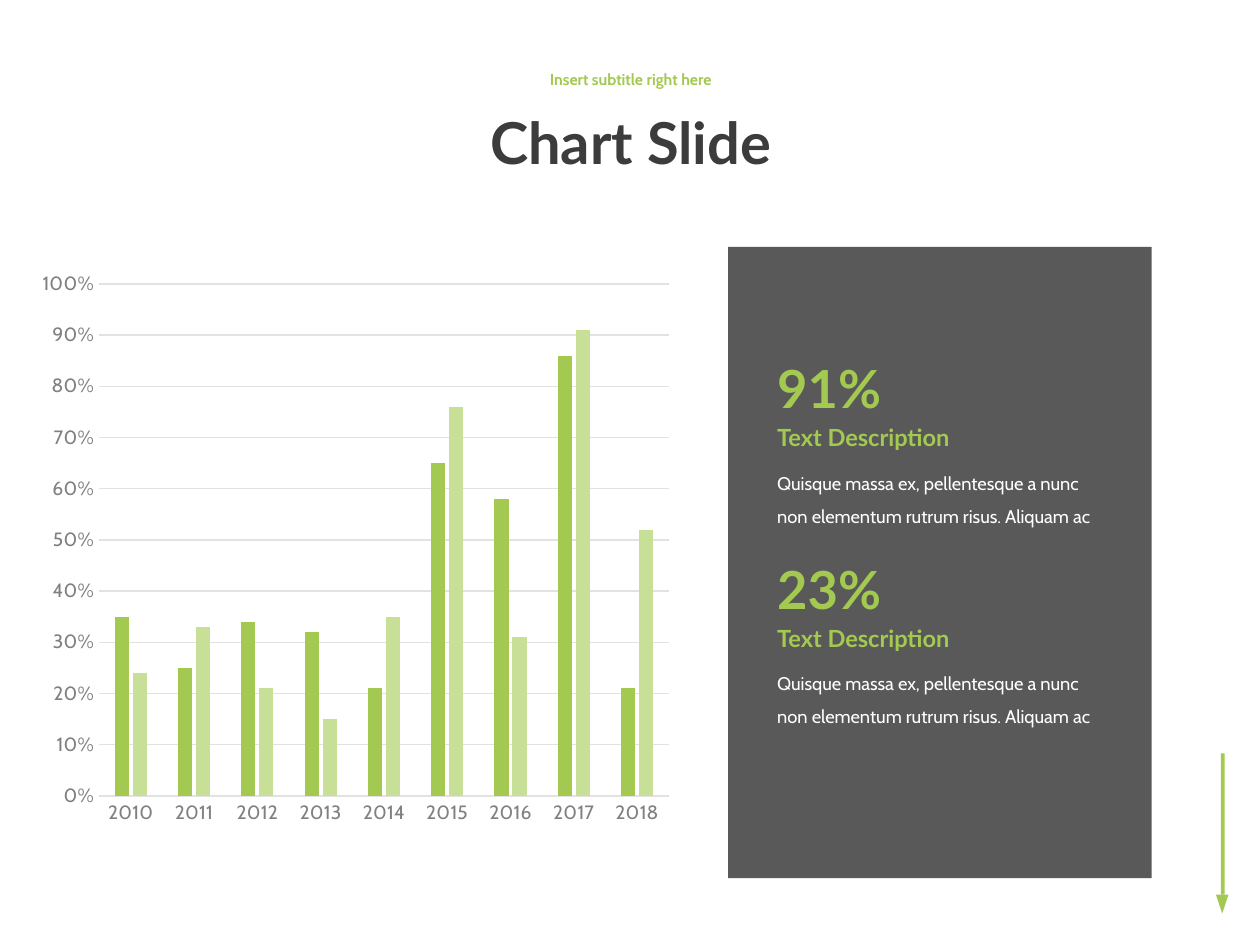
from dataclasses import dataclass

from lxml import etree
from pptx import Presentation
from pptx.chart.data import CategoryChartData
from pptx.dml.color import RGBColor
from pptx.enum.chart import XL_CHART_TYPE, XL_TICK_MARK
from pptx.enum.shapes import MSO_SHAPE
from pptx.enum.text import MSO_ANCHOR, MSO_AUTO_SIZE, PP_ALIGN
from pptx.oxml import parse_xml
from pptx.oxml.ns import nsdecls, qn
from pptx.util import Inches, Pt

CLUSTERED = XL_CHART_TYPE.COLUMN_CLUSTERED
NO_TICK = XL_TICK_MARK.NONE
RECTANGLE = MSO_SHAPE.RECTANGLE
TRIANGLE = MSO_SHAPE.ISOSCELES_TRIANGLE
TOP, MIDDLE = MSO_ANCHOR.TOP, MSO_ANCHOR.MIDDLE
LEFT, CENTER = PP_ALIGN.LEFT, PP_ALIGN.CENTER
NO_AUTOFIT = MSO_AUTO_SIZE.NONE


@dataclass(frozen=True)
class Theme:
    green: RGBColor = RGBColor(0xA3, 0xC9, 0x51)
    light_green: RGBColor = RGBColor(0xC8, 0xDF, 0x97)
    dark: RGBColor = RGBColor(0x3C, 0x3C, 0x3C)
    gray: RGBColor = RGBColor(0x80, 0x80, 0x80)
    grid: RGBColor = RGBColor(0xE2, 0xE2, 0xE2)
    white: RGBColor = RGBColor(0xFF, 0xFF, 0xFF)
    heading_font: str = "Lato"
    body_font: str = "Cabin"
    title_size: float = 33
    subtitle_size: float = 9
    number_size: float = 30
    label_size: float = 13.5
    body_size: float = 10.5
    chart_size: float = 11


THEME = Theme()
YEARS = [str(year) for year in range(2010, 2019)]
SERIES = [
    ("Series 1", THEME.green, [0.35, 0.25, 0.34, 0.32, 0.21, 0.65, 0.58, 0.86, 0.21]),
    ("Series 2", THEME.light_green, [0.24, 0.33, 0.21, 0.15, 0.35, 0.76, 0.31, 0.91, 0.52]),
]
DESCRIPTION = "Quisque massa ex, pellentesque a nunc non elementum rutrum risus. Aliquam ac"


def place(shape, left, top, width, height):
    shape.left, shape.top = Inches(left), Inches(top)
    shape.width, shape.height = Inches(width), Inches(height)


def style_font(font, name, size, color, bold=False):
    font.name, font.size, font.bold = name, Pt(size), bold
    font.color.rgb = color


def write_text(shape, text, name, size, color, bold=True, align=LEFT, anchor=TOP, spacing=1.0):
    frame = shape.text_frame
    frame.word_wrap = True
    frame.auto_size = NO_AUTOFIT
    frame.vertical_anchor = anchor
    frame.text = text
    paragraph = frame.paragraphs[0]
    paragraph.alignment = align
    paragraph.line_spacing = spacing
    style_font(paragraph.font, name, size, color, bold)


def add_text(slide, box, text, name, size, color, **options):
    shape = slide.shapes.add_textbox(*map(Inches, box))
    write_text(shape, text, name, size, color, **options)


def add_block(slide, kind, box, color, alpha=None):
    shape = slide.shapes.add_shape(kind, *map(Inches, box))
    shape.shadow.inherit = False
    shape.fill.solid()
    shape.fill.fore_color.rgb = color
    shape.line.fill.background()
    if alpha is not None:
        color_element = shape.fill._xPr.find(".//" + qn("a:srgbClr"))
        etree.SubElement(color_element, qn("a:alpha"), val=str(alpha * 1000))
    return shape


def add_down_arrow(slide):
    add_block(slide, RECTANGLE, (9.69, 5.98, 0.03, 1.12), THEME.green)
    head = add_block(slide, TRIANGLE, (9.65, 7.1, 0.1, 0.15), THEME.green)
    head.rotation = 180


def add_heading(slide):
    title = slide.shapes.title
    place(title, 2.19, 0.64, 5.63, 1.03)
    write_text(title, "Chart Slide", THEME.heading_font, THEME.title_size, THEME.dark,
               align=CENTER, anchor=MIDDLE, spacing=0.9)
    add_text(slide, (2.19, 0.45, 5.63, 0.38), "Insert subtitle right here",
             THEME.body_font, THEME.subtitle_size, THEME.green,
             align=CENTER, anchor=MIDDLE, spacing=0.9)


def style_axis(axis):
    axis.major_tick_mark = axis.minor_tick_mark = NO_TICK
    style_font(axis.tick_labels.font, THEME.body_font, THEME.chart_size, THEME.gray)


def style_line(line):
    line.color.rgb = THEME.grid
    line.width = Pt(0.75)


def set_plot_area(chart, x, y, width, height):
    plot_area = chart._chartSpace.chart.plotArea
    for layout in plot_area.findall(qn("c:layout")):
        plot_area.remove(layout)
    plot_area.insert(0, parse_xml(
        f'<c:layout {nsdecls("c")}><c:manualLayout><c:layoutTarget val="inner"/>'
        '<c:xMode val="edge"/><c:yMode val="edge"/>'
        f'<c:x val="{x}"/><c:y val="{y}"/><c:w val="{width}"/><c:h val="{height}"/>'
        '</c:manualLayout></c:layout>'))


def add_column_chart(slide):
    data = CategoryChartData(number_format="0%")
    data.categories = YEARS
    for name, _, values in SERIES:
        data.add_series(name, values)
    box = map(Inches, (0.33, 2.16, 5.08, 4.62))
    chart = slide.shapes.add_chart(CLUSTERED, *box, data).chart
    chart.has_legend = chart.has_title = False
    style_font(chart.font, THEME.body_font, THEME.chart_size, THEME.dark)
    set_plot_area(chart, 0.09, 0.02, 0.89, 0.88)

    plot = chart.plots[0]
    plot.gap_width, plot.overlap = 219, -27
    plot.vary_by_categories = False
    for series, (_, color, _) in zip(plot.series, SERIES):
        series.format.fill.solid()
        series.format.fill.fore_color.rgb = color

    style_axis(chart.category_axis)
    style_line(chart.category_axis.format.line)
    value_axis = chart.value_axis
    style_axis(value_axis)
    value_axis.minimum_scale, value_axis.maximum_scale = 0, 1
    value_axis.major_unit = 0.1
    value_axis.tick_labels.number_format = "0%"
    value_axis.tick_labels.number_format_is_linked = False
    value_axis.format.line.fill.background()
    style_line(value_axis.major_gridlines.format.line)


def add_statistic(slide, top, number):
    left = 6.07
    add_text(slide, (left, top, 1.61, 0.61), number,
             THEME.heading_font, THEME.number_size, THEME.green)
    add_text(slide, (left, top + 0.53, 2.19, 0.33), "Text Description",
             THEME.heading_font, THEME.label_size, THEME.green)
    add_text(slide, (left, top + 0.83, 2.79, 0.6), DESCRIPTION,
             THEME.body_font, THEME.body_size, THEME.white, bold=False, spacing=1.5)


def main():
    presentation = Presentation()
    presentation.slide_width, presentation.slide_height = Inches(10), Inches(7.5)
    slide = presentation.slides.add_slide(presentation.slide_layouts[5])
    add_down_arrow(slide)
    add_heading(slide)
    add_block(slide, RECTANGLE, (5.78, 1.96, 3.36, 5.01), THEME.dark, alpha=85)
    add_column_chart(slide)
    for top, number in ((2.78, "91%"), (4.37, "23%")):
        add_statistic(slide, top, number)
    presentation.save("out.pptx")


if __name__ == "__main__":
    main()
